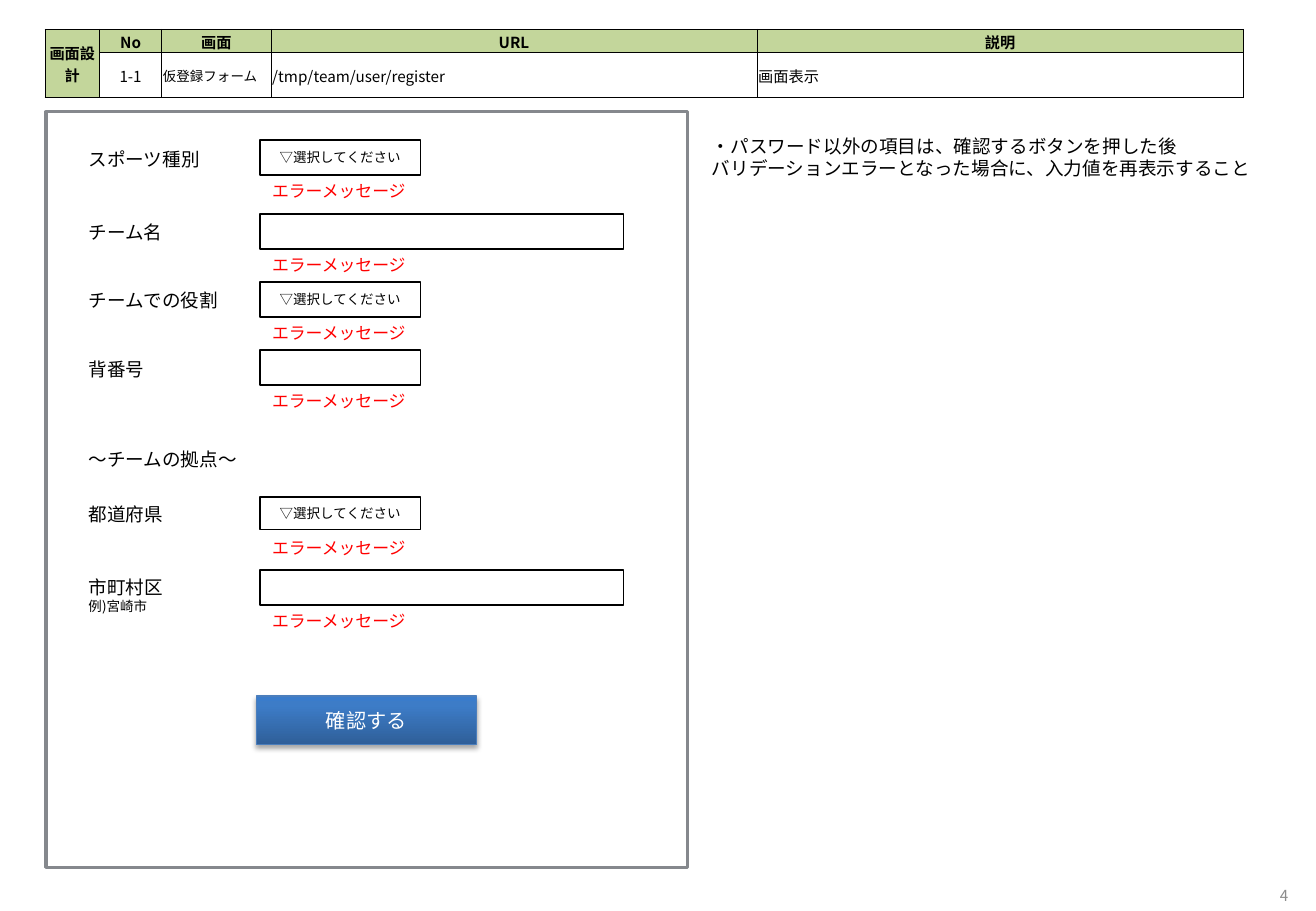
from copy import deepcopy

from lxml import etree
from pptx import Presentation
from pptx.dml.color import RGBColor
from pptx.enum.shapes import MSO_SHAPE
from pptx.enum.text import MSO_ANCHOR, MSO_AUTO_SIZE, PP_ALIGN
from pptx.oxml import parse_xml
from pptx.oxml.ns import nsdecls, qn
from pptx.util import Inches, Pt

RECTANGLE = MSO_SHAPE.RECTANGLE
MIDDLE, TOP = MSO_ANCHOR.MIDDLE, MSO_ANCHOR.TOP
LEFT, CENTER, RIGHT = PP_ALIGN.LEFT, PP_ALIGN.CENTER, PP_ALIGN.RIGHT
FIT_TEXT = MSO_AUTO_SIZE.SHAPE_TO_FIT_TEXT

BLACK = RGBColor(0x00, 0x00, 0x00)
WHITE = RGBColor(0xFF, 0xFF, 0xFF)
RED = RGBColor(0xFF, 0x00, 0x00)
GREEN = RGBColor(0xC3, 0xD6, 0x9B)
PANEL_GRAY = RGBColor(0x85, 0x88, 0x8D)
PAGE_GRAY = RGBColor(0x8C, 0x8C, 0x8C)
BUTTON_EDGE = RGBColor(0x4B, 0x7E, 0xBC)
BUTTON_STOPS = [(0, RGBColor(0x2F, 0x5F, 0x99)), (0.8, RGBColor(0x3D, 0x7C, 0xC7)),
                (1, RGBColor(0x3A, 0x7C, 0xCB))]
FONT_JP, FONT_KR = "Noto Sans CJK JP", "Noto Sans CJK KR"

# Content
HEADINGS = ["画面設計", "No", "画面", "URL", "説明"]
SCREEN = ["", "1-1", "仮登録フォーム", "/tmp/team/user/register", "画面表示"]
COLUMN_WIDTHS = [0.45, 0.51, 0.9, 4, 4]
ROW_HEIGHTS = [0.13, 0.2]
NOTES = ["・パスワード以外の項目は、確認するボタンを押した後",
         "バリデーションエラーとなった場合に、入力値を再表示すること"]
CHOOSE = "▽選択してください"
ERROR = "エラーメッセージ"
SECTION = "〜チームの拠点〜"
SHORT, LONG = 1.32, 2.99
# label, hint, label top, box top, box width, box height, box text
FIELDS = [
    ("スポーツ種別", "", 1.17, 1.15, SHORT, 0.29, CHOOSE),
    ("チーム名", "", 1.77, 1.76, LONG, 0.29, ""),
    ("チームでの役割", "", 2.33, 2.32, SHORT, 0.29, CHOOSE),
    ("背番号", "", 2.9, 2.88, SHORT, 0.29, ""),
    ("都道府県", "", 4.09, 4.09, SHORT, 0.27, CHOOSE),
    ("市町村区", "例)宮崎市", 4.69, 4.69, LONG, 0.29, ""),
]
LABEL_LEFT, BOX_LEFT, ERROR_DROP = 0.63, 2.14, 0.29

prs = Presentation()
prs.slide_width, prs.slide_height = Inches(10.83), Inches(7.5)
slide = prs.slides.add_slide(prs.slide_layouts[6])


def write(frame, lines, size=11, color=BLACK, font=FONT_JP, bold=False,
          align=LEFT, last_size=None):
    """Fill a text frame, one paragraph per line."""
    for i, line in enumerate(lines):
        paragraph = frame.paragraphs[0] if i == 0 else frame.add_paragraph()
        paragraph.alignment = align
        run = paragraph.add_run()
        run.text = line
        run.font.size = Pt(last_size if i and last_size else size)
        run.font.bold = bold
        run.font.color.rgb = color
        run.font.name = font
        east_asian = etree.SubElement(run.font._element, qn("a:ea"))
        east_asian.set("typeface", font)


def add_text(lines, left, top, width, height, anchor=TOP, **style):
    box = slide.shapes.add_textbox(Inches(left), Inches(top), Inches(width), Inches(height))
    box.text_frame.word_wrap = False
    if anchor == TOP:
        box.text_frame.auto_size = FIT_TEXT
    box.text_frame.vertical_anchor = anchor
    write(box.text_frame, lines, **style)


def add_box(left, top, width, height, line, line_width, fill=None, text="", **style):
    box = slide.shapes.add_shape(RECTANGLE, Inches(left), Inches(top),
                                 Inches(width), Inches(height))
    box.shadow.inherit = False
    if fill is None:
        box.fill.background()
    else:
        box.fill.solid()
        box.fill.fore_color.rgb = fill
    box.line.color.rgb = line
    box.line.width = Pt(line_width)
    if text:
        box.text_frame.vertical_anchor = MIDDLE
        write(box.text_frame, [text], align=CENTER, **style)
    return box


def add_label(label, top, hint=""):
    lines = [label, hint] if hint else [label]
    add_text(lines, LABEL_LEFT, top, 0.2 + len(label) * 11 / 72,
             0.42 if hint else 0.29, last_size=8)


def border_cell(cell):
    properties = cell._tc.get_or_add_tcPr()
    for i, side in enumerate(("lnL", "lnR", "lnT", "lnB")):
        properties.insert(i, parse_xml(
            f'<a:{side} {nsdecls("a")} w="{Pt(0.5)}"><a:solidFill>'
            f'<a:srgbClr val="{BLACK}"/></a:solidFill></a:{side}>'))


# Screen table
table_frame = slide.shapes.add_table(2, len(HEADINGS), Inches(0.37), Inches(0.24),
                                     Inches(sum(COLUMN_WIDTHS)), Inches(sum(ROW_HEIGHTS)))
table = table_frame.table
for column, width in zip(table.columns, COLUMN_WIDTHS):
    column.width = Inches(width)
for row, height in zip(table.rows, ROW_HEIGHTS):
    row.height = Inches(height)
for r, texts in enumerate([HEADINGS, SCREEN]):
    for c, text in enumerate(texts):
        cell = table.cell(r, c)
        is_heading = r == 0 or c == 0
        cell.margin_left = cell.margin_right = cell.margin_top = Inches(0.01)
        cell.margin_bottom = 0
        cell.vertical_anchor = MIDDLE
        cell.fill.solid()
        cell.fill.fore_color.rgb = GREEN if is_heading else WHITE
        border_cell(cell)
        if text:
            write(cell.text_frame, [text], size=8 if (r, c) == (1, 2) else 9,
                  bold=is_heading, align=CENTER if is_heading or c == 1 else LEFT)
table.cell(0, 0).merge(table.cell(1, 0))

# Page number and form panel
add_text(["4"], 10.06, 7.29, 0.64, 0.16, anchor=MIDDLE, size=9, color=PAGE_GRAY,
         font=FONT_KR, align=RIGHT)
add_box(0.38, 0.92, 5.28, 6.22, PANEL_GRAY, 2)

# Confirm button: gradient and soft shadow
button = add_box(2.11, 5.73, 1.81, 0.4, BUTTON_EDGE, 0.75, text="確認する",
                 size=12, color=WHITE)
button.fill.gradient()
button.fill.gradient_angle = 90
stop_list = button._element.spPr.find(qn("a:gradFill")).find(qn("a:gsLst"))
stop_list.append(deepcopy(stop_list[-1]))
for stop, (position, color) in zip(button.fill.gradient_stops, BUTTON_STOPS):
    stop.position = position
    stop.color.rgb = color
button._element.spPr.find(qn("a:effectLst")).append(parse_xml(
    f'<a:outerShdw {nsdecls("a")} blurRad="{Pt(3.1)}" dist="{Pt(1.8)}" dir="5400000" '
    f'rotWithShape="0"><a:srgbClr val="{BLACK}"><a:alpha val="35000"/></a:srgbClr>'
    '</a:outerShdw>'))

# Notes, section heading and form fields
add_text(NOTES, 5.76, 1.06, 4.68, 0.47)
add_label(SECTION, 3.64)
for label, hint, label_top, box_top, width, height, box_text in FIELDS:
    add_label(label, label_top, hint)
    add_box(BOX_LEFT, box_top, width, height, BLACK, 1, fill=WHITE, text=box_text, size=8)
    add_text([ERROR], BOX_LEFT, box_top + ERROR_DROP, 1.32, 0.27, size=10, color=RED)

prs.save("out.pptx")
